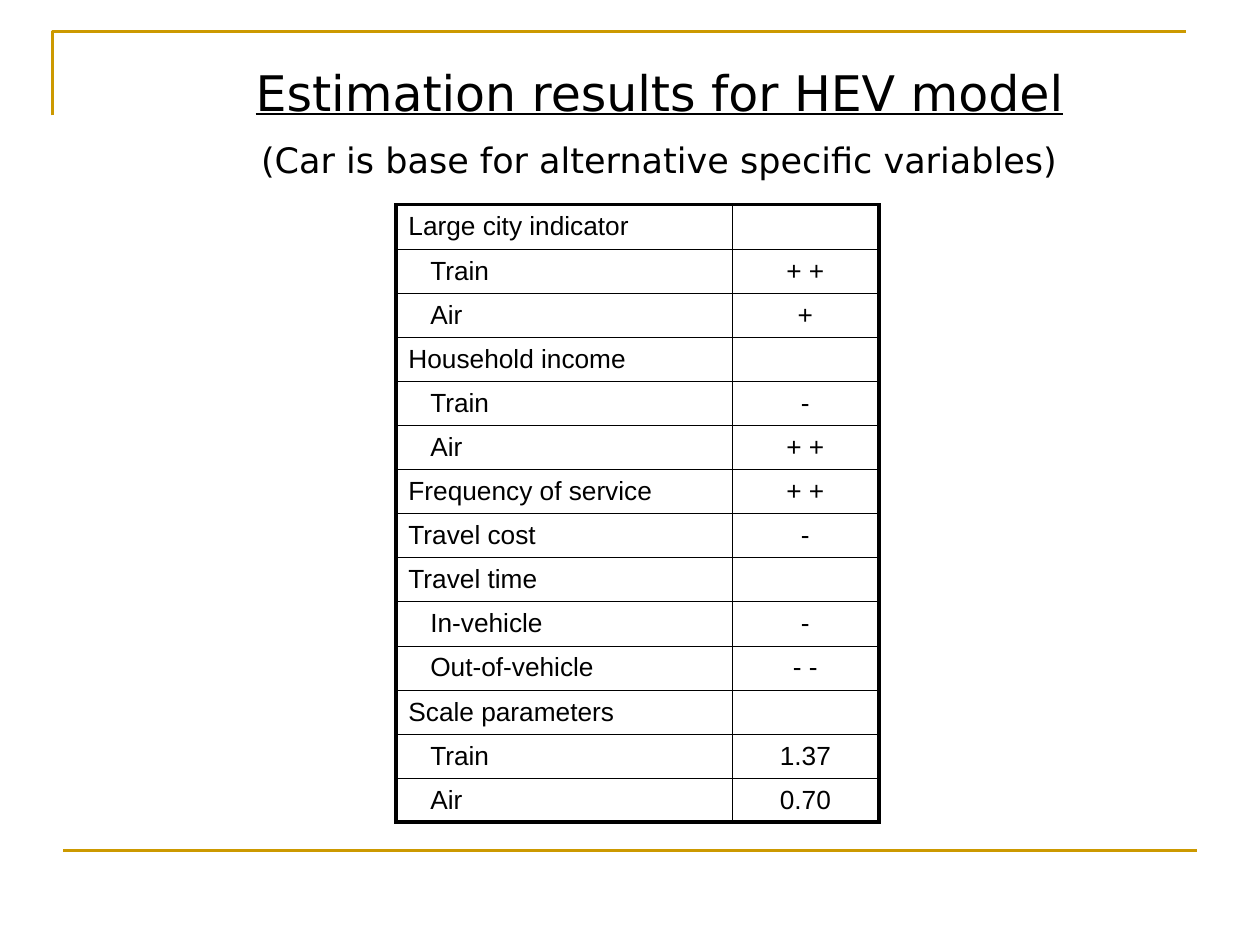
import pptx
import pptx.dml.color
import pptx.enum.text
import pptx.oxml.ns
import pptx.util
from lxml import etree

Pt = pptx.util.Pt
qn = pptx.oxml.ns.qn
Align = pptx.enum.text.PP_ALIGN
BLACK = pptx.dml.color.RGBColor(0x00, 0x00, 0x00)
GOLD = pptx.dml.color.RGBColor(0xCC, 0x99, 0x00)

ESTIMATES = [
    ("Large city indicator", 0, ""),
    ("Train", 1, "+ +"),
    ("Air", 1, "+"),
    ("Household income", 0, ""),
    ("Train", 1, "-"),
    ("Air", 1, "+ +"),
    ("Frequency of service", 0, "+ +"),
    ("Travel cost", 0, "-"),
    ("Travel time", 0, ""),
    ("In-vehicle", 1, "-"),
    ("Out-of-vehicle", 1, "- -"),
    ("Scale parameters", 0, ""),
    ("Train", 1, "1.37"),
    ("Air", 1, "0.70"),
]


class SlideBuilder:
    """Holds the style and the current slide, and draws each kind of element."""

    title_font = "DejaVu Sans"
    table_font = "Arial"
    table_size = 15
    rule_width = 1.5
    outer_border = 2.25
    inner_border = 0.25
    indent = 12.5

    def __init__(self, slide):
        self.slide = slide

    def style_paragraph(self, paragraph, name, size, alignment):
        paragraph.alignment = alignment
        paragraph.font.name = name
        paragraph.font.size = Pt(size)
        paragraph.font.color.rgb = BLACK

    def style_rule(self, shape):
        shape.line.color.rgb = GOLD
        shape.line.width = Pt(self.rule_width)

    def corner(self, left, top, right, bottom):
        builder = self.slide.shapes.build_freeform(Pt(left), Pt(bottom), scale=1.0)
        builder.add_line_segments([(Pt(left), Pt(top)), (Pt(right), Pt(top))], close=False)
        shape = builder.convert_to_shape()
        shape.shadow.inherit = False
        shape.fill.background()
        self.style_rule(shape)

    def rule(self, left, right, y):
        connector = self.slide.shapes.add_connector(
            pptx.enum.shapes.MSO_CONNECTOR.STRAIGHT, Pt(left), Pt(y), Pt(right), Pt(y))
        self.style_rule(connector)
        etree.SubElement(connector._element.spPr, qn("a:effectLst"))

    def heading(self, left, top, width, height, title, subtitle):
        frame = self.slide.shapes.add_textbox(Pt(left), Pt(top), Pt(width), Pt(height)).text_frame
        frame.word_wrap = True
        frame.margin_top = Pt(7)
        first = frame.paragraphs[0]
        first.text = title
        self.style_paragraph(first, self.title_font, 28, Align.CENTER)
        first.font.underline = True
        second = frame.add_paragraph()
        second.text = subtitle
        self.style_paragraph(second, self.title_font, 20, Align.CENTER)
        second.space_before = Pt(10)

    def border(self, cell, side, width):
        line = etree.SubElement(cell._tc.get_or_add_tcPr(), qn("a:" + side), w=str(Pt(width)))
        fill = etree.SubElement(line, qn("a:solidFill"))
        etree.SubElement(fill, qn("a:srgbClr"), val=str(BLACK))

    def cell(self, cell, text, level, alignment, outer_sides):
        for side in ("lnL", "lnR", "lnT", "lnB"):
            self.border(cell, side, self.outer_border if side in outer_sides else self.inner_border)
        cell.fill.background()
        cell.margin_top = cell.margin_bottom = 0
        cell.vertical_anchor = pptx.enum.text.MSO_ANCHOR.MIDDLE
        paragraph = cell.text_frame.paragraphs[0]
        paragraph.text = text
        if level:
            paragraph._p.get_or_add_pPr().set("marL", str(Pt(level * self.indent)))
        self.style_paragraph(paragraph, self.table_font, self.table_size, alignment)

    def table(self, left, top, widths, height, estimates):
        table = self.slide.shapes.add_table(
            len(estimates), len(widths), Pt(left), Pt(top), Pt(sum(widths)), Pt(height)).table
        table.first_row = table.horz_banding = False
        for column, width in zip(table.columns, widths):
            column.width = Pt(width)
        last = len(estimates) - 1
        for index, (label, level, value) in enumerate(estimates):
            table.rows[index].height = Pt(height / len(estimates))
            edges = {0: ["lnT"], last: ["lnB"]}.get(index, [])
            self.cell(table.cell(index, 0), label, level, Align.LEFT, edges + ["lnL"])
            self.cell(table.cell(index, 1), value, 0, Align.CENTER, edges + ["lnR"])


def main():
    presentation = pptx.Presentation()
    presentation.slide_width, presentation.slide_height = Pt(720), Pt(540)
    builder = SlideBuilder(presentation.slides.add_slide(presentation.slide_layouts[6]))
    builder.corner(30, 18, 678, 66)
    builder.rule(36, 684, 486)
    builder.heading(82.8, 28.8, 588, 77, "Estimation results for HEV model",
                    "(Car is base for alternative specific variables)")
    builder.table(226.2, 117, (192, 84), 353, ESTIMATES)
    presentation.save("out.pptx")


if __name__ == "__main__":
    main()
